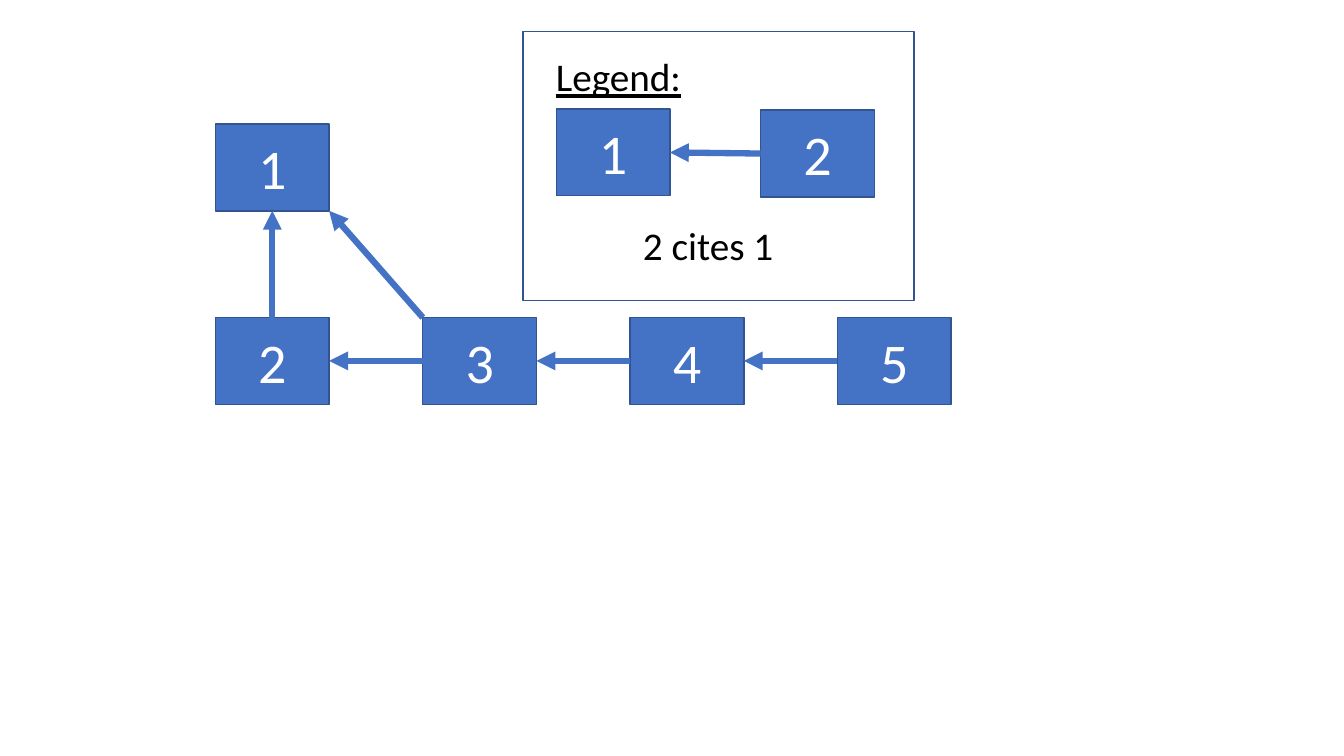
from lxml.etree import SubElement
from pptx import Presentation
from pptx.dml.color import RGBColor
from pptx.enum.shapes import MSO_CONNECTOR, MSO_SHAPE
from pptx.enum.text import MSO_ANCHOR, MSO_AUTO_SIZE, PP_ALIGN
from pptx.oxml.ns import qn
from pptx.util import Pt

BLUE, OUTLINE = "4472C4", "325491"
PAPER_WIDTH, PAPER_HEIGHT = 81.2, 62
FIRST_LEFT, TOP_ROW, BOTTOM_ROW, PITCH = 153.9, 88.6, 226.8, 148.1
TOP, LEFT, BOTTOM, RIGHT = range(4)


def color(hex_code):
    return RGBColor.from_string(hex_code)


def write(shape, text, size, ink="000000", align=PP_ALIGN.LEFT, underline=None):
    paragraph = shape.text_frame.paragraphs[0]
    paragraph.alignment = align
    run = paragraph.add_run()
    run.text = text
    run.font.name = "Calibri"
    run.font.size = Pt(size)
    run.font.underline = underline
    run.font.color.rgb = color(ink)


def add_rectangle(slide, left, top, width, height, fill=None):
    rectangle = slide.shapes.add_shape(
        MSO_SHAPE.RECTANGLE, Pt(left), Pt(top), Pt(width), Pt(height))
    rectangle.shadow.inherit = False
    if fill:
        rectangle.fill.solid()
        rectangle.fill.fore_color.rgb = color(fill)
    else:
        rectangle.fill.background()
    rectangle.line.color.rgb = color(OUTLINE)
    rectangle.line.width = Pt(1)
    return rectangle


def add_paper(slide, number, left, top):
    paper = add_rectangle(slide, left, top, PAPER_WIDTH, PAPER_HEIGHT, BLUE)
    paper.text_frame.vertical_anchor = MSO_ANCHOR.MIDDLE
    write(paper, number, 40, ink="FFFFFF", align=PP_ALIGN.CENTER)
    return paper


def add_label(slide, text, left, top, width, **style):
    label = slide.shapes.add_textbox(Pt(left), Pt(top), Pt(width), Pt(41.2))
    label.text_frame.word_wrap = True
    label.text_frame.auto_size = MSO_AUTO_SIZE.SHAPE_TO_FIT_TEXT
    write(label, text, 28, **style)


def add_arrow(slide, tip_x, tip_y, tail_x, tail_y):
    arrow = slide.shapes.add_connector(
        MSO_CONNECTOR.STRAIGHT, tip_x, tip_y, tail_x, tail_y)
    arrow.line.color.rgb = color(BLUE)
    arrow.line.width = Pt(4.5)
    SubElement(arrow.line._get_or_add_ln(), qn("a:headEnd"), type="triangle")
    SubElement(arrow._element.spPr, qn("a:effectLst"))
    return arrow


def add_citation(slide, cited, cited_side, citing, citing_side):
    arrow = add_arrow(slide, 0, 0, 0, 0)
    arrow.begin_connect(cited, cited_side)
    arrow.end_connect(citing, citing_side)


def add_citation_graph(slide):
    first = add_paper(slide, "1", FIRST_LEFT, TOP_ROW)
    chain = [add_paper(slide, str(column + 2), FIRST_LEFT + column * PITCH, BOTTOM_ROW)
             for column in range(4)]
    add_citation(slide, first, BOTTOM, chain[0], TOP)
    add_arrow(slide, first.left + first.width, first.top + first.height,
              chain[1].left, chain[1].top)
    for cited, citing in zip(chain, chain[1:]):
        add_citation(slide, cited, RIGHT, citing, LEFT)


def add_legend(slide):
    add_label(slide, "Legend:", 390, 34, 175.7, underline=True)
    cited = add_paper(slide, "1", 397.3, 77.9)
    citing = add_paper(slide, "2", 543.4, 78.7)
    add_citation(slide, cited, RIGHT, citing, LEFT)
    add_label(slide, "2 cites 1", 452.2, 154.8, 158.4)
    add_rectangle(slide, 373.7, 22.3, 279.2, 192.5)


def main():
    deck = Presentation()
    deck.slide_width, deck.slide_height = Pt(960), Pt(540)
    slide = deck.slides.add_slide(deck.slide_layouts[6])
    add_citation_graph(slide)
    add_legend(slide)
    deck.save("out.pptx")


main()
